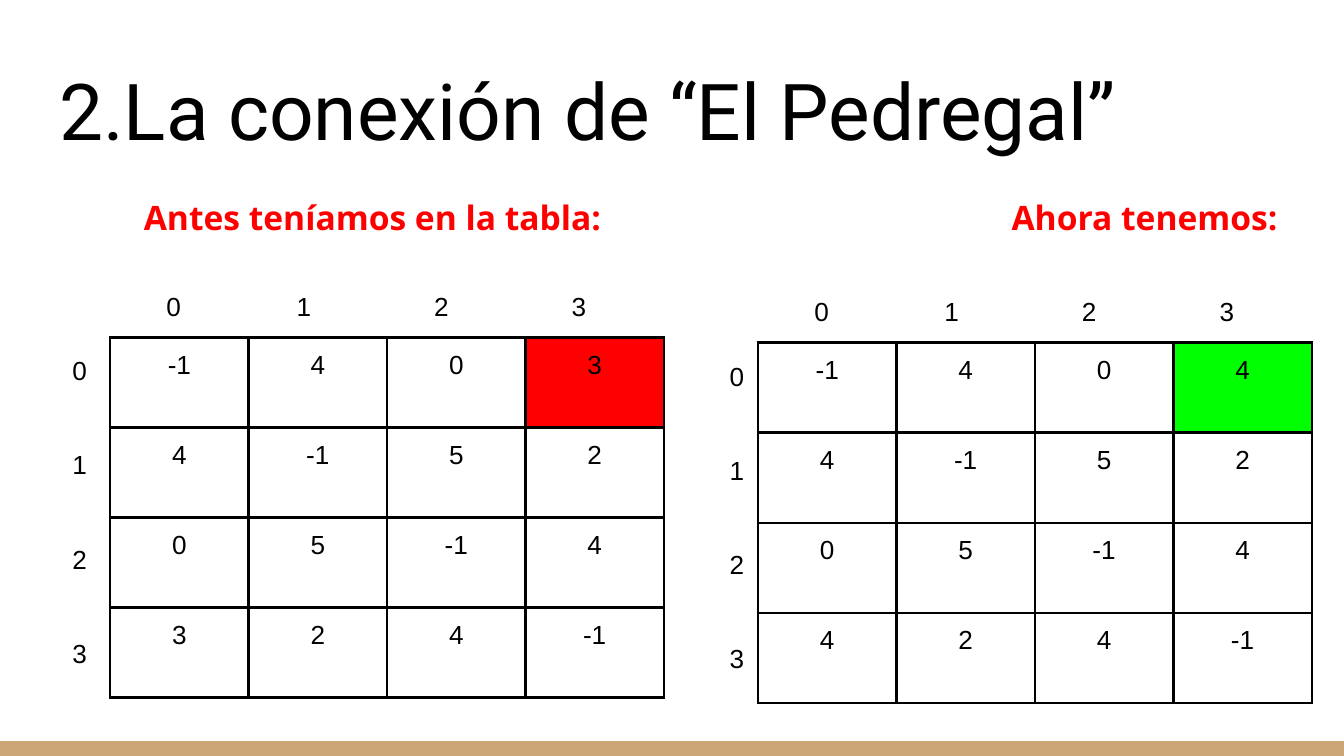
import dataclasses

import lxml.etree
import pptx
import pptx.dml.color
import pptx.enum.shapes
import pptx.enum.text
import pptx.oxml.ns
import pptx.util

Inches = pptx.util.Inches
Pt = pptx.util.Pt
ALIGN = pptx.enum.text.PP_ALIGN
ANCHOR = pptx.enum.text.MSO_ANCHOR


@dataclasses.dataclass(frozen=True)
class Theme:
    ink: str = "000000"
    paper: str = "FFFFFF"
    accent: str = "FF0000"
    before: str = "FF0000"
    after: str = "00FF00"
    bar: str = "CCA677"
    title_size: float = 42
    heading_size: float = 18
    cell_size: float = 14
    border: float = 1.5


THEME = Theme()
WIDTH = 10
HEIGHT = WIDTH * 9 / 16
MARGIN = 0.34
COLUMN, ROW, COUNT = 1.03, 0.67, 4
TABLE_FRAME = 3.28
INSETS = {f"margin_{side}": Inches(0.1)
          for side in ("left", "top", "right", "bottom")}

TITLE_FONT = {"name": "Roboto", "size": THEME.title_size, "color": THEME.ink}
HEADING_FONT = {"name": "Open Sans", "size": THEME.heading_size,
                "color": THEME.accent, "bold": True}
CELL_FONT = {"name": "Arial", "size": THEME.cell_size, "color": THEME.ink}

# Position, values and highlight colour of each table
BEFORE = (0.82, 2.51, [[-1, 4, 0, 3], [4, -1, 5, 2],
                       [0, 5, -1, 4], [3, 2, 4, -1]], THEME.before)
AFTER = (5.64, 2.55, [[-1, 4, 0, 4], [4, -1, 5, 2],
                      [0, 5, -1, 4], [4, 2, 4, -1]], THEME.after)


def rgb(value):
    return pptx.dml.color.RGBColor.from_string(value)


def apply(target, formats):
    for name, value in formats.items():
        setattr(target, name, value)


def write(paragraph, text, font, **formats):
    run = paragraph.add_run()
    run.text = text
    settings = dict(font)
    run.font.color.rgb = rgb(settings.pop("color"))
    settings["size"] = Pt(settings["size"])
    apply(run.font, settings)
    apply(paragraph, formats)
    return run


def write_spaced(paragraph, indent, words, gaps, font):
    """Write words on one line, each space widened by its gap in points."""
    properties = paragraph._p.get_or_add_pPr()
    properties.set("marL", str(Inches(indent)))
    properties.set("indent", "0")
    child(properties, "a:buNone")
    write(paragraph, words[0], font)
    for gap, word in zip(gaps, words[1:]):
        space = write(paragraph, " ", font)
        space._r.get_or_add_rPr().set("spc", str(round(gap * 100)))
        write(paragraph, word, font)


def set_frame(frame, anchor=ANCHOR.TOP):
    apply(frame, INSETS)
    apply(frame, {"word_wrap": True, "vertical_anchor": anchor,
                  "auto_size": pptx.enum.text.MSO_AUTO_SIZE.NONE})


def place(shape, left, top, width, height):
    apply(shape, {"left": Inches(left), "top": Inches(top),
                  "width": Inches(width), "height": Inches(height)})


def child(parent, tag, **attributes):
    return lxml.etree.SubElement(parent, pptx.oxml.ns.qn(tag), attributes)


def add_text_box(slide, left, top, width, height):
    box = slide.shapes.add_textbox(*map(Inches, (left, top, width, height)))
    set_frame(box.text_frame)
    return box.text_frame


def set_borders(cell):
    properties = cell._tc.get_or_add_tcPr()
    for side in "LRTB":
        line = child(properties, f"a:ln{side}", w=str(Pt(THEME.border)))
        fill = child(line, "a:solidFill")
        child(fill, "a:srgbClr", val=THEME.ink)


def add_matrix(slide, left, top, values, highlight):
    frame = slide.shapes.add_table(
        COUNT, COUNT, *map(Inches, (left, top, TABLE_FRAME, TABLE_FRAME)))
    table = frame.table
    apply(table, {"first_row": False, "horz_banding": False})
    for index in range(COUNT):
        table.columns[index].width = Inches(COLUMN)
        table.rows[index].height = Inches(ROW)
    place(frame, left, top, TABLE_FRAME, TABLE_FRAME)
    for row, numbers in enumerate(values):
        for column, number in enumerate(numbers):
            cell = table.cell(row, column)
            apply(cell, INSETS)
            set_borders(cell)
            cell.fill.solid()
            marked = (row, column) == (0, COUNT - 1)
            cell.fill.fore_color.rgb = rgb(highlight if marked else THEME.paper)
            write(cell.text_frame.paragraphs[0], str(number), CELL_FONT,
                  alignment=ALIGN.CENTER)


def add_column_labels(slide, left, top):
    frame = add_text_box(slide, left, top, COLUMN * COUNT, 0.45)
    labels = [str(index) for index in range(COUNT)]
    write_spaced(frame.paragraphs[0], 0.32, labels, (58, 62, 62), CELL_FONT)


def add_row_labels(slide, left, top):
    frame = add_text_box(slide, left, top, 0.38, 2.63)
    for index in range(COUNT):
        paragraph = frame.add_paragraph() if index else frame.paragraphs[0]
        write(paragraph, str(index), CELL_FONT,
              space_before=Pt(33.6 if index else 0))


def add_title(slide):
    title = slide.shapes.title
    place(title, MARGIN, 0.35, WIDTH - 2 * MARGIN, 0.91)
    set_frame(title.text_frame, ANCHOR.BOTTOM)
    write(title.text_frame.paragraphs[0], "2.La conexión de “El Pedregal”",
          TITLE_FONT, alignment=ALIGN.LEFT)


def add_headings(slide):
    body = slide.placeholders[1]
    place(body, MARGIN, 1.32, WIDTH - 2 * MARGIN, 3.67)
    set_frame(body.text_frame)
    paragraph = body.text_frame.paragraphs[0]
    apply(paragraph, {"line_spacing": 1.15, "space_before": Pt(0),
                      "space_after": Pt(16)})
    headings = ("Antes teníamos en la tabla:", "Ahora tenemos:")
    write_spaced(paragraph, 0.63, headings, (215,), HEADING_FONT)


def add_bar(slide):
    bar = slide.shapes.add_shape(
        pptx.enum.shapes.MSO_SHAPE.RECTANGLE,
        *map(Inches, (0, HEIGHT - 0.11, WIDTH, 0.11)))
    bar.shadow.inherit = False
    bar.fill.solid()
    bar.fill.fore_color.rgb = rgb(THEME.bar)
    bar.line.fill.background()


def main():
    presentation = pptx.Presentation()
    presentation.slide_width = Inches(WIDTH)
    presentation.slide_height = Inches(HEIGHT)
    slide = presentation.slides.add_slide(presentation.slide_layouts[1])

    # Title, headings and bottom bar
    add_bar(slide)
    add_title(slide)
    add_headings(slide)

    # The two tables with their row and column numbers
    for (left, top, values, highlight), gap in ((BEFORE, 0.38), (AFTER, 0.31)):
        add_matrix(slide, left, top, values, highlight)
        add_column_labels(slide, left, top - 0.45)
        add_row_labels(slide, left - gap, top + 0.03)

    presentation.save("out.pptx")


if __name__ == "__main__":
    main()
